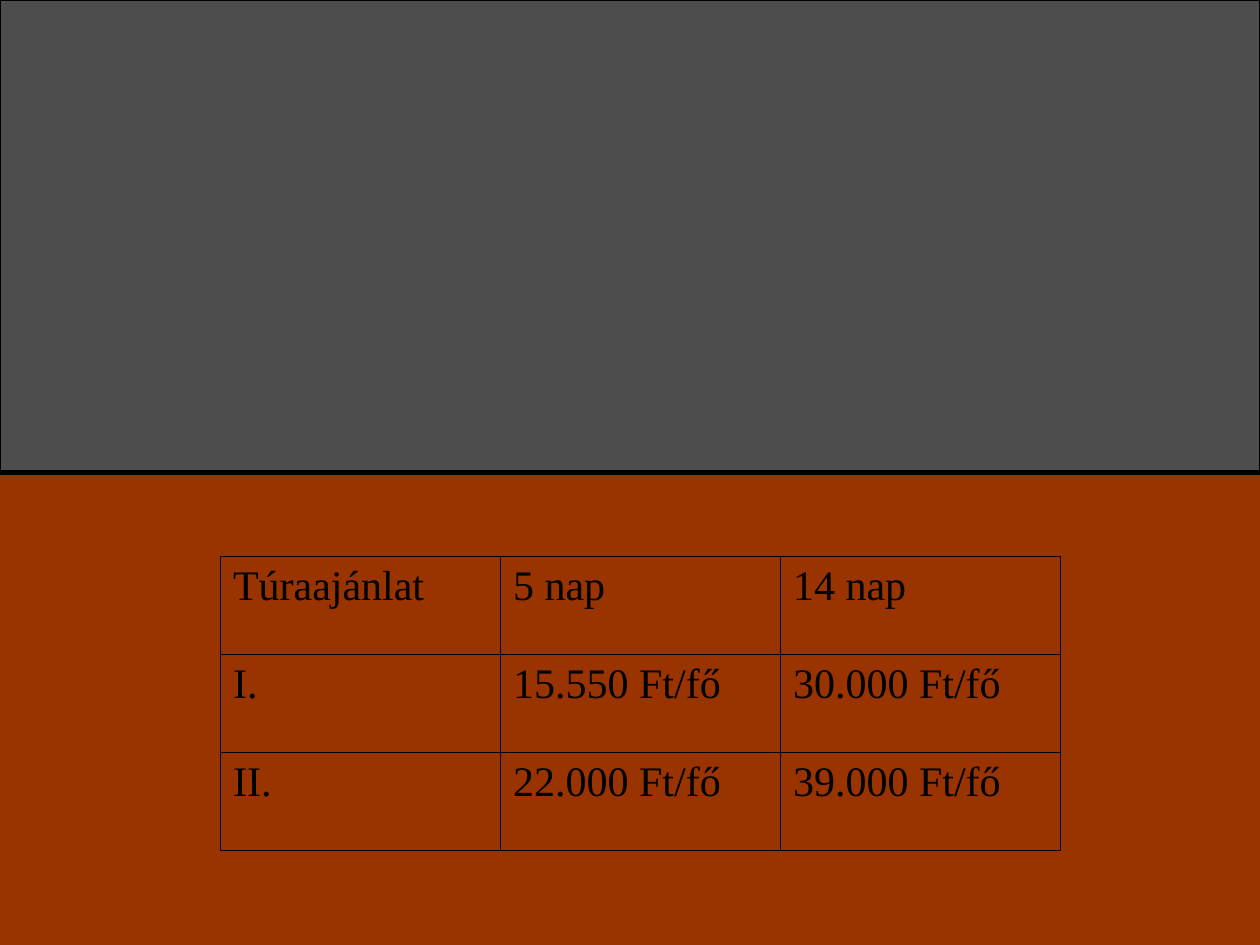
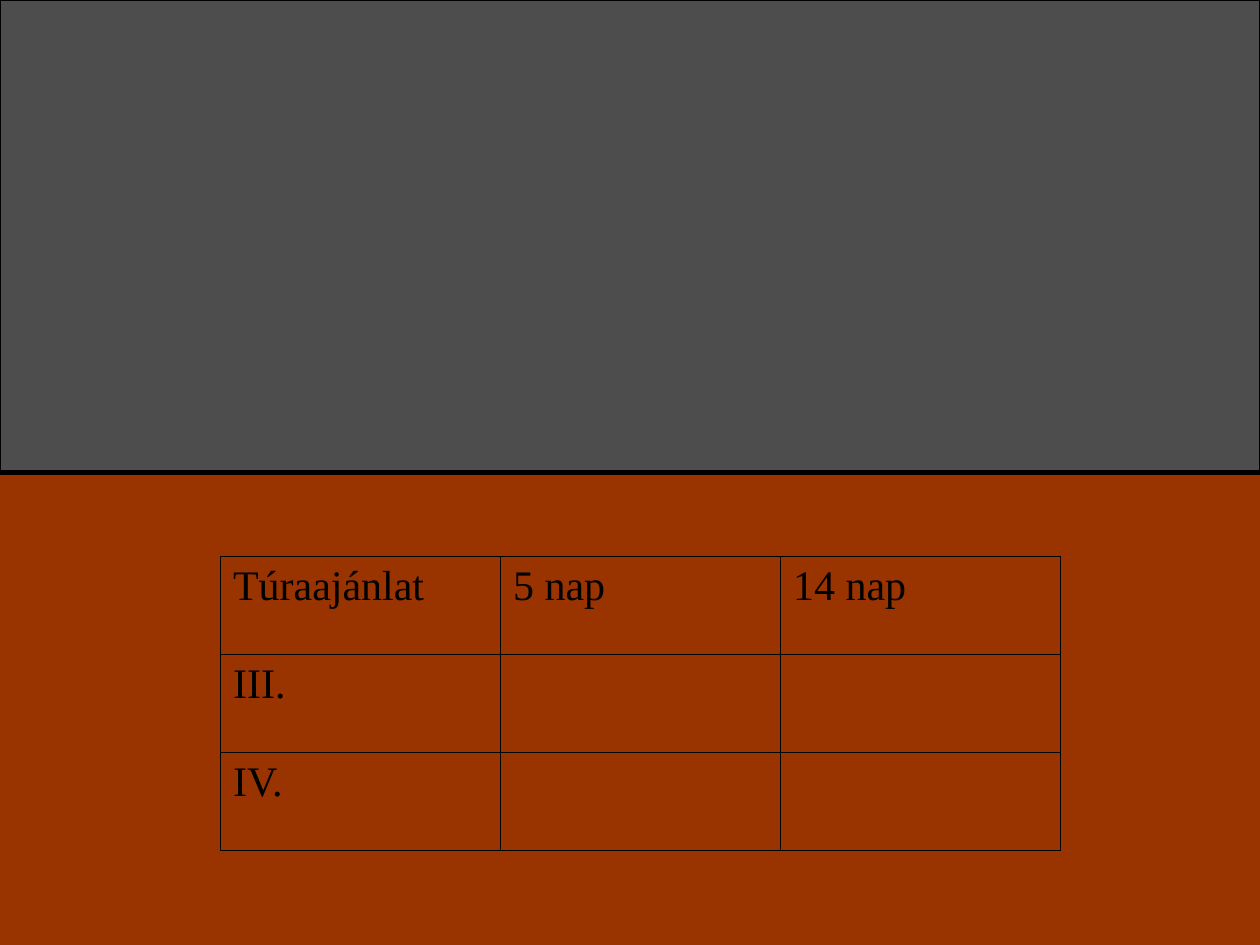
import pptx
import pptx.dml.color
import pptx.enum.shapes
import pptx.oxml.ns
import pptx.util
from lxml import etree

Pt = pptx.util.Pt
RGB = pptx.dml.color.RGBColor.from_string
qn = pptx.oxml.ns.qn

COLORS = {"background": "993300", "band": "4D4D4D", "ink": "000000"}
FONT = "Times New Roman"
WIDTH, HEIGHT = 720, 540
OUTER, INNER = 1.08, 0.45
COL_WIDTH, ROW_HEIGHT = 160, 56

HEADER = ["Túraajánlat", "5 nap", "14 nap"]
OFFERS = [
    [["I.", "15.550 Ft/fő", "30.000 Ft/fő"],
     ["II.", "22.000 Ft/fő", "39.000 Ft/fő"]],
    [["III.", "", ""],
     ["IV.", "", ""]],
]


def set_border(cell, side, width):
    ln = etree.SubElement(cell._tc.get_or_add_tcPr(), qn("a:" + side), w=str(Pt(width)))
    fill = etree.SubElement(ln, qn("a:solidFill"))
    etree.SubElement(fill, qn("a:srgbClr"), val=COLORS["ink"])


prs = pptx.Presentation()
prs.slide_width, prs.slide_height = Pt(WIDTH), Pt(HEIGHT)

# Shared background
background = prs.slide_master.background.fill
background.solid()
background.fore_color.rgb = RGB(COLORS["background"])

for offers in OFFERS:
    s = prs.slides.add_slide(prs.slide_layouts[6])

    # Upper band
    band = s.shapes.add_shape(pptx.enum.shapes.MSO_SHAPE.RECTANGLE,
                              0, 0, Pt(WIDTH), Pt(HEIGHT / 2))
    band.shadow.inherit = False
    band.fill.solid()
    band.fill.fore_color.rgb = RGB(COLORS["band"])
    band.line.color.rgb = RGB(COLORS["ink"])
    band.line.width = Pt(0.75)

    # Dividing line
    divider = s.shapes.add_connector(pptx.enum.shapes.MSO_CONNECTOR.STRAIGHT,
                                     0, Pt(HEIGHT / 2), Pt(WIDTH), Pt(HEIGHT / 2))
    divider.line.color.rgb = RGB(COLORS["ink"])
    divider.line.width = Pt(3)
    etree.SubElement(divider._element.spPr, qn("a:effectLst"))

    # Price table
    rows = [HEADER] + offers
    n_rows, n_cols = len(rows), len(HEADER)
    table = s.shapes.add_table(n_rows, n_cols, Pt(126), Pt(318),
                               Pt(COL_WIDTH * n_cols), Pt(ROW_HEIGHT * n_rows)).table
    table.first_row = False
    table.horz_banding = False
    for i, row in enumerate(rows):
        for j, text in enumerate(row):
            cell = table.cell(i, j)
            edges = {"lnL": j == 0, "lnR": j == n_cols - 1,
                     "lnT": i == 0, "lnB": i == n_rows - 1}
            for side, is_outer in edges.items():
                set_border(cell, side, OUTER if is_outer else INNER)
            cell.fill.background()
            if text:
                r = cell.text_frame.paragraphs[0].add_run()
                r.text = text
                r.font.name = FONT
                r.font.size = Pt(24)
                r.font.color.rgb = RGB(COLORS["ink"])

prs.save("out.pptx")
